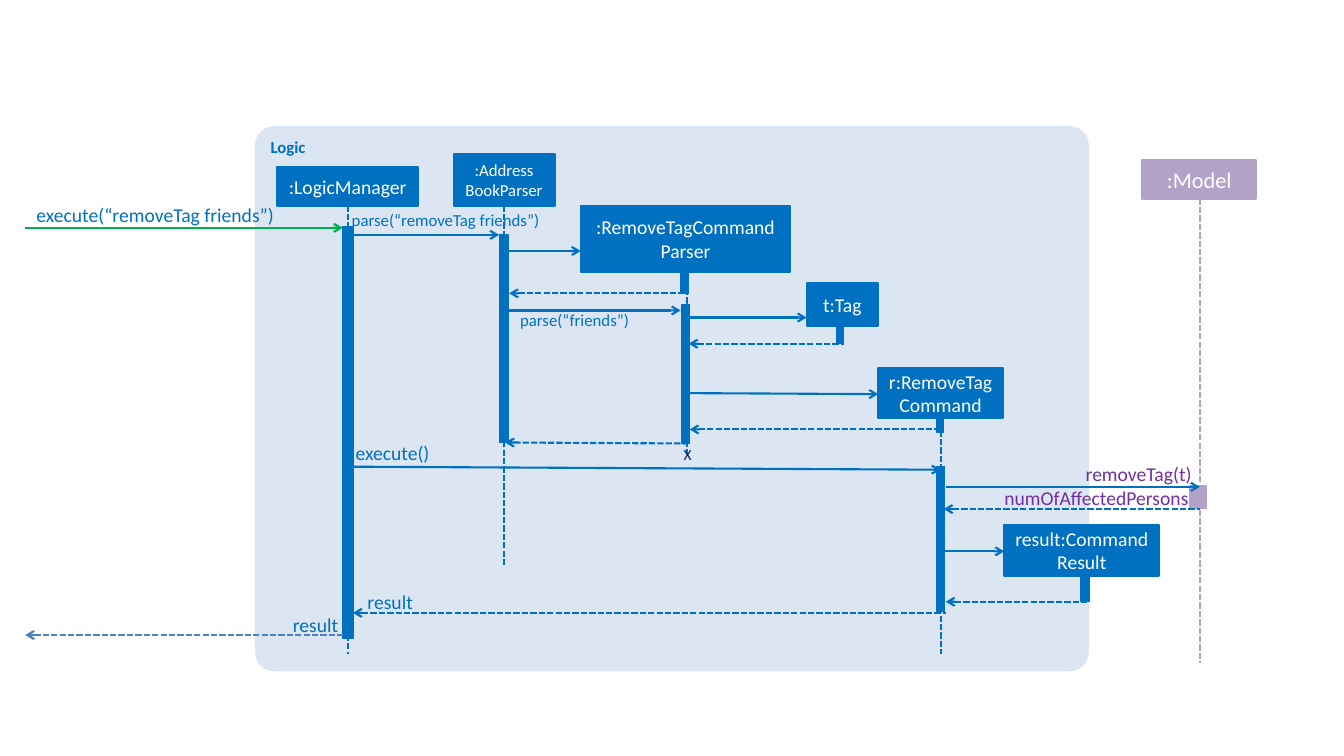
from pptx import Presentation
from pptx.dml.color import RGBColor
from pptx.enum.dml import MSO_LINE
from pptx.enum.shapes import MSO_CONNECTOR, MSO_SHAPE
from pptx.enum.text import MSO_ANCHOR, PP_ALIGN
from pptx.oxml.ns import qn
from pptx.util import Inches, Pt
from lxml.etree import SubElement

BLUE = RGBColor(0x00, 0x70, 0xC0)
PALE_BLUE = RGBColor(0xDC, 0xE6, 0xF2)
STEEL = RGBColor(0x4F, 0x81, 0xBD)
NAVY = RGBColor(0x00, 0x20, 0x60)
GREEN = RGBColor(0x00, 0xB0, 0x50)
LILAC = RGBColor(0xB3, 0xA2, 0xC7)
PURPLE = RGBColor(0x70, 0x30, 0xA0)
WHITE = RGBColor(0xFF, 0xFF, 0xFF)
LEFT, CENTER, RIGHT = PP_ALIGN.LEFT, PP_ALIGN.CENTER, PP_ALIGN.RIGHT


class SequenceDiagram:
    """Draws sequence diagram elements on one slide in a shared style."""

    font = "Calibri"
    stroke = Pt(1.5)

    def __init__(self, page):
        """Keep the slide to draw on."""
        self.shapes = page.shapes

    def set_text(self, shape, text, size, color, align, margin=0.0, bold=False):
        """Put text in a shape; a newline starts a new paragraph."""
        frame = shape.text_frame
        frame.word_wrap = True
        frame.margin_left = frame.margin_right = Inches(margin)
        frame.margin_top = frame.margin_bottom = Inches(margin / 2)
        frame.text = text
        for para in frame.paragraphs:
            para.alignment = align
            para.font.name = self.font
            para.font.size = Pt(size)
            para.font.bold = bold
            para.font.color.rgb = color
        return frame

    def block(self, kind, area, color, line_width=None):
        """Add a filled shape, outlined in its own colour if a width is given."""
        shape = self.shapes.add_shape(kind, *map(Inches, area))
        shape.shadow.inherit = False
        shape.fill.solid()
        shape.fill.fore_color.rgb = color
        if line_width is None:
            shape.line.fill.background()
        else:
            shape.line.color.rgb = color
            shape.line.width = line_width
        return shape

    def frame(self, area, title):
        """Add the rounded area that encloses a component."""
        shape = self.block(MSO_SHAPE.ROUNDED_RECTANGLE, area, PALE_BLUE)
        shape.adjustments[0] = 0.035
        text = self.set_text(shape, title, 12, BLUE, LEFT, 0.1, bold=True)
        text.vertical_anchor = MSO_ANCHOR.TOP

    def participant(self, area, name, size=14, color=BLUE):
        """Add the named box of an object."""
        shape = self.block(MSO_SHAPE.RECTANGLE, area, color, self.stroke)
        text = self.set_text(shape, name, size, WHITE, CENTER, 0.08)
        text.vertical_anchor = MSO_ANCHOR.MIDDLE

    def activation(self, area, color=BLUE):
        """Add the narrow bar that marks an active object."""
        self.block(MSO_SHAPE.RECTANGLE, area, color, Pt(0.75))

    def line(self, start, end, color=BLUE, dashed=False, arrow=None):
        """Add a straight line; arrow is headEnd, tailEnd or None."""
        link = self.shapes.add_connector(
            MSO_CONNECTOR.STRAIGHT, *map(Inches, (*start, *end)))
        link.line.color.rgb = color
        link.line.width = self.stroke
        if dashed:
            link.line.dash_style = MSO_LINE.SQUARE_DOT
        properties = link._element.spPr
        if arrow:
            SubElement(properties.find(qn("a:ln")), qn("a:" + arrow), type="arrow")
        SubElement(properties, qn("a:effectLst"))

    def lifeline(self, x, top, bottom, color=BLUE):
        """Add the dashed vertical line of an object."""
        self.line((x, top), (x, bottom), color, dashed=True)

    def call(self, left, right, y, color=BLUE, drop=0.0):
        """Add a solid arrow to the right, falling by drop."""
        self.line((left, y), (right, y + drop), color, arrow="tailEnd")

    def reply(self, left, right, y, color=BLUE, drop=0.0):
        """Add a dashed arrow back to the left."""
        self.line((left, y), (right, y + drop), color, True, "headEnd")

    def label(self, area, text, size=14, color=BLUE, align=RIGHT):
        """Add the text of a message."""
        box = self.shapes.add_textbox(*map(Inches, area))
        self.set_text(box, text, size, color, align)


def build():
    """Build the sequence diagram for removing a tag."""
    deck = Presentation()
    deck.slide_width, deck.slide_height = Inches(13.33), Inches(7.5)
    diagram = SequenceDiagram(deck.slides.add_slide(deck.slide_layouts[6]))

    diagram.frame((2.53, 1.25, 8.27, 5.41), "Logic")

    for lifeline in [
        (3.45, 2.04, 6.49),
        (5, 2.04, 5.62),
        (6.81, 2.7, 4.5),
        (9.33, 4.02, 6.49),
        (11.9, 1.97, 6.58, LILAC),
    ]:
        diagram.lifeline(*lifeline)

    for activation in [
        ((3.4, 2.25, 0.11, 4.08),),
        ((4.95, 2.33, 0.09, 2.06),),
        ((6.75, 2.7, 0.08, 0.21),),
        ((6.76, 3.02, 0.08, 1.38),),
        ((8.3, 3.17, 0.07, 0.24),),
        ((9.29, 4.1, 0.07, 0.19),),
        ((9.29, 4.63, 0.08, 1.44),),
        ((10.72, 5.71, 0.09, 0.26),),
        ((11.8, 4.82, 0.17, 0.22), LILAC),
    ]:
        diagram.activation(*activation)

    for participant in [
        ((2.75, 1.66, 1.4, 0.38), ":LogicManager"),
        ((4.5, 1.53, 1, 0.51), ":Address\nBookParser", 12),
        ((5.76, 2.04, 2.08, 0.66), ":RemoveTagCommand\nParser"),
        ((8, 2.81, 0.71, 0.42), "t:Tag"),
        ((8.71, 3.65, 1.24, 0.5), "r:RemoveTag\vCommand"),
        ((9.96, 5.21, 1.54, 0.5), "result:Command Result"),
        ((11.33, 1.59, 1.13, 0.38), ":Model", 16, LILAC),
    ]:
        diagram.participant(*participant)

    for call in [
        (0.25, 3.4, 2.26, GREEN),
        (3.5, 4.95, 2.33),
        (5.05, 5.76, 2.49),
        (5.05, 6.75, 3.08),
        (6.83, 8, 3.15),
        (6.82, 8.71, 3.9, BLUE, 0.01),
        (3.5, 9.33, 4.63, BLUE, 0.03),
        (9.38, 11.9, 4.83),
        (9.33, 9.96, 5.47),
    ]:
        diagram.call(*call)

    for reply in [
        (5.05, 6.75, 2.91),
        (6.83, 8.37, 3.41),
        (6.84, 9.33, 4.26),
        (5.01, 6.8, 4.39, BLUE, 0.01),
        (9.36, 11.9, 5.05),
        (9.38, 10.8, 5.97),
        (3.5, 9.38, 6.08),
        (0.25, 3.4, 6.3, STEEL),
    ]:
        diagram.reply(*reply)

    for label in [
        ((0, 2.01, 2.72, 0.24), "execute(“removeTag friends”)"),
        ((3.13, 2.08, 2.22, 0.2), "parse(“removeTag friends”)", 12),
        ((4.96, 3.07, 1.28, 0.2), "parse(“friends”)", 12),
        ((6.68, 4.42, 0.28, 0.19), "X", 11, NAVY, CENTER),
        ((3.32, 4.37, 0.94, 0.24), "execute()"),
        ((10.26, 4.58, 1.56, 0.24), "removeTag(t)", 14, PURPLE),
        ((9.78, 4.82, 2.01, 0.24), "numOfAffectedPersons", 14, PURPLE),
        ((3.53, 5.85, 0.68, 0.24), "result", 14, BLUE, CENTER),
        ((2.79, 6.08, 0.68, 0.24), "result", 14, BLUE, CENTER),
    ]:
        diagram.label(*label)

    deck.save("out.pptx")


build()
